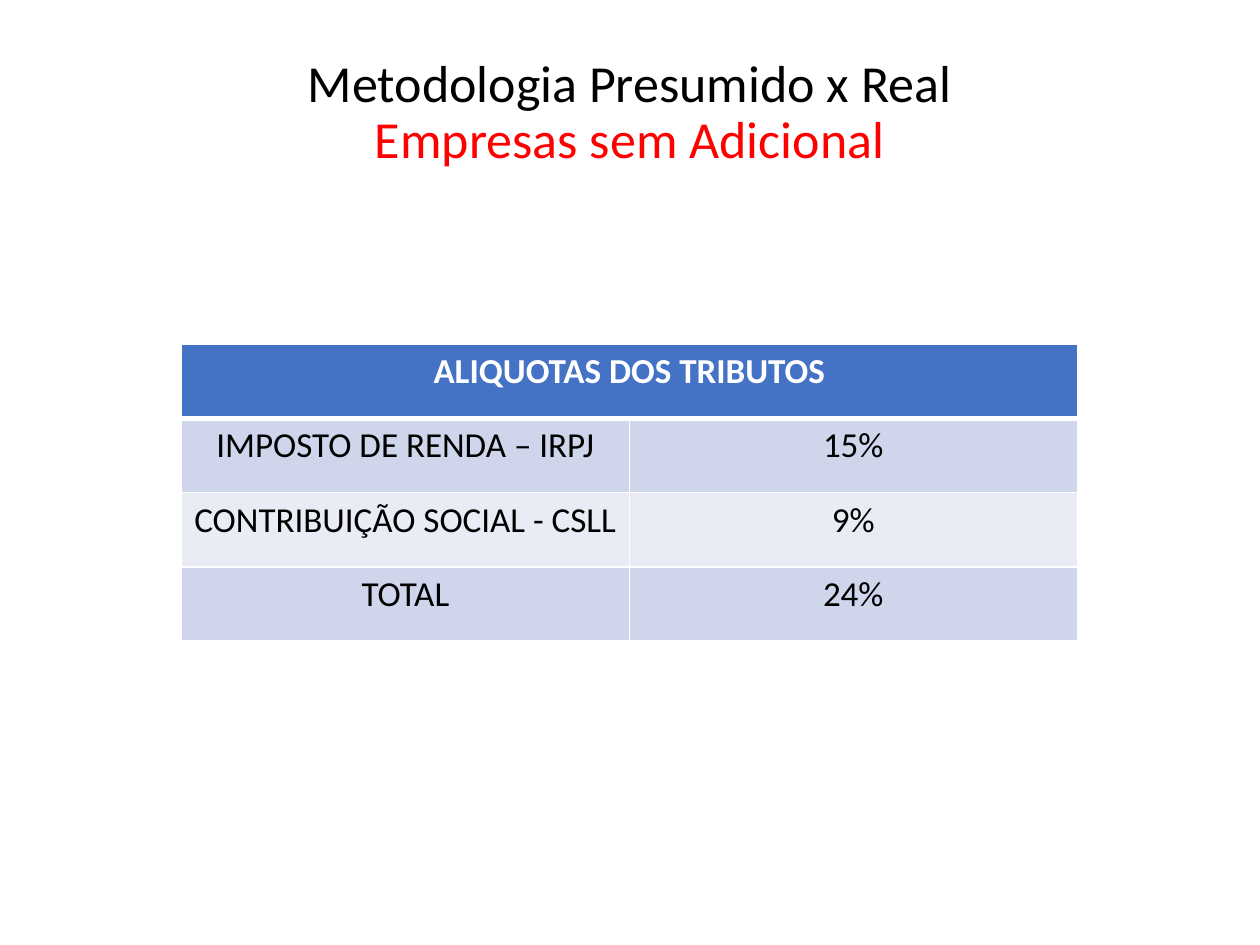
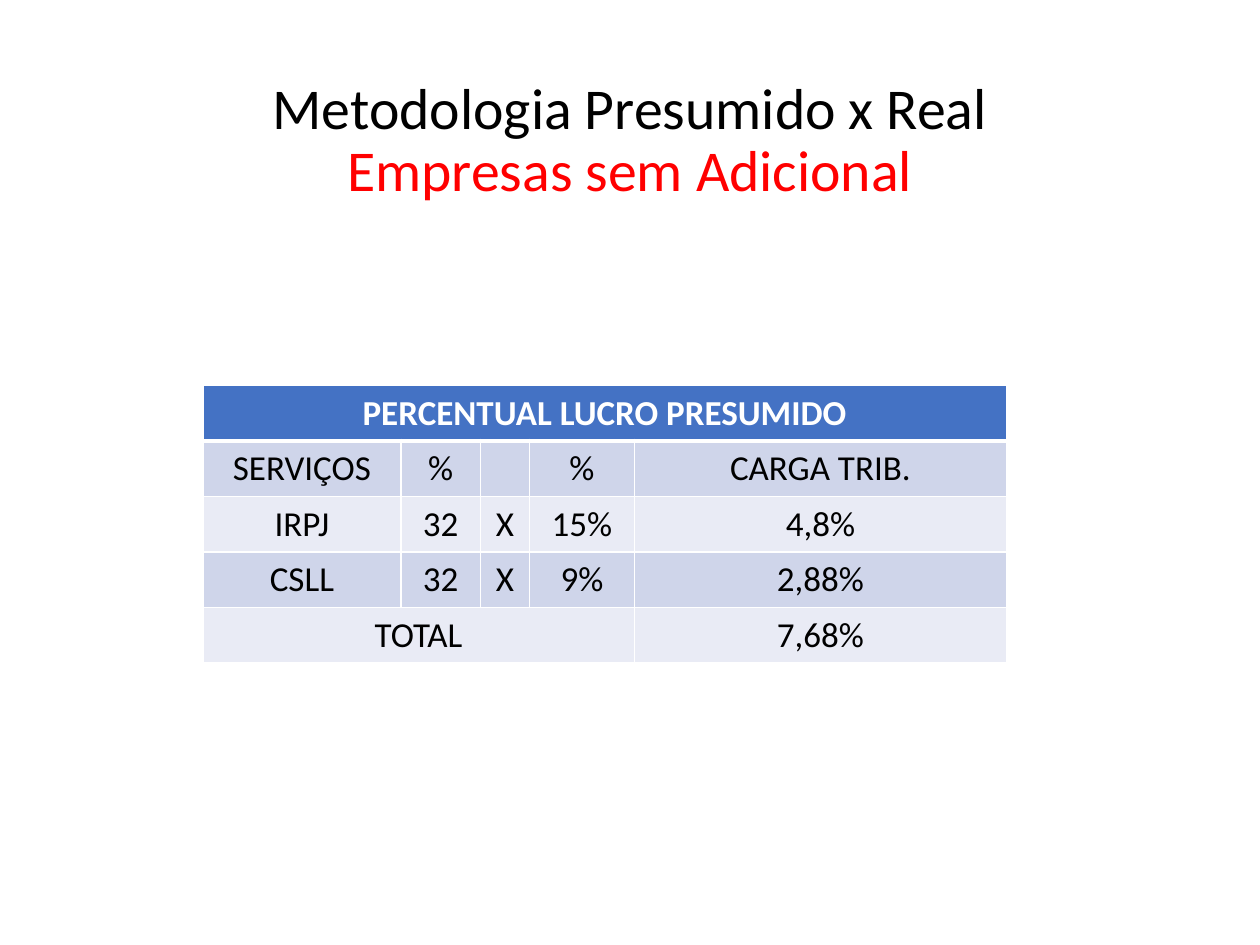
from copy import deepcopy
from dataclasses import dataclass

from lxml import etree
from pptx import Presentation
from pptx import util as u
from pptx.dml.color import RGBColor
from pptx.enum import text as t
from pptx.oxml import ns

SLIDE_WIDTH, SLIDE_HEIGHT = u.Inches(10), u.Inches(7.5)
TITLE_ONLY = 5
FONT = "Calibri"
WHITE, BLACK, RED = "FFFFFF", "000000", "FF0000"
HEADER_BLUE = "4472C4"
BANDS = ("CFD5EA", "E9EBF5")
TITLE_LINES = (("Metodologia Presumido x Real", BLACK), ("Empresas sem Adicional", RED))
THIN, THICK = 1, 3


@dataclass(frozen=True)
class Box:
    """A rectangle in shares of the slide's width and height."""
    left: float
    top: float
    width: float
    height: float

    def lengths(self) -> tuple[int, int, int, int]:
        return (int(self.left * SLIDE_WIDTH), int(self.top * SLIDE_HEIGHT),
                int(self.width * SLIDE_WIDTH), int(self.height * SLIDE_HEIGHT))


TITLE_BOX = Box(0.069, 0.4 / 7.5, 0.862, 1.45 / 7.5)


@dataclass(frozen=True)
class RateTable:
    """Rows hold one entry per cell; None continues the cell to its left."""
    box: Box
    column_weights: tuple[float, ...]
    rows: tuple[tuple[str | None, ...], ...]
    anchor: t.MSO_ANCHOR = t.MSO_ANCHOR.TOP


@dataclass(frozen=True)
class RateSlide:
    title_size: float
    title_bottom_inset: float
    table: RateTable


SLIDES = (
    RateSlide(29.7, 0.5, RateTable(
        Box(0.144, 2.73 / 7.5, 0.711, 2.36 / 7.5), (1, 1), (
            ("ALIQUOTAS DOS TRIBUTOS", None),
            ("IMPOSTO DE RENDA – IRPJ", "15%"),
            ("CONTRIBUIÇÃO SOCIAL - CSLL", "9%"),
            ("TOTAL", "24%"),
        ))),
    RateSlide(33, 0.05, RateTable(
        Box(0.161, 3.06 / 7.5, 0.638, 2.17 / 7.5), (1.57, 0.63, 0.39, 0.83, 2.95), (
            ("PERCENTUAL LUCRO PRESUMIDO", None, None, None, None),
            ("SERVIÇOS", "%", "", "%", "CARGA TRIB."),
            ("IRPJ", "32", "X", "15%", "4,8%"),
            ("CSLL", "32", "X", "9%", "2,88%"),
            ("TOTAL", None, None, None, "7,68%"),
        ))),
)


def rgb(color: str) -> RGBColor:
    return RGBColor.from_string(color)


def write(paragraph, text: str, *, size: float, color: str, bold: bool = False):
    """Append a centred run to the paragraph and return it."""
    paragraph.alignment = t.PP_ALIGN.CENTER
    run = paragraph.add_run()
    run.text = text
    run.font.name, run.font.size, run.font.bold = FONT, u.Pt(size), bold
    run.font.color.rgb = rgb(color)
    return run


def break_line_after(paragraph, run) -> None:
    """Add a line break that keeps the run's text size."""
    paragraph.add_line_break()
    line_break = paragraph._p.findall(ns.qn("a:br"))[-1]
    line_break.append(deepcopy(run._r.find(ns.qn("a:rPr"))))


def set_title(slide, size: float, bottom_inset: float) -> None:
    title = slide.shapes.title
    title.left, title.top, title.width, title.height = TITLE_BOX.lengths()
    frame = title.text_frame
    frame.auto_size = t.MSO_AUTO_SIZE.NONE
    frame.word_wrap = True
    frame.vertical_anchor = t.MSO_ANCHOR.MIDDLE
    frame.margin_bottom = u.Inches(bottom_inset)
    paragraph = frame.paragraphs[0]
    paragraph.line_spacing = 0.9
    (first, first_color), (second, second_color) = TITLE_LINES
    break_line_after(paragraph, write(paragraph, first, size=size, color=first_color))
    write(paragraph, second, size=size, color=second_color)


def set_borders(cell, *, top: float, bottom: float) -> None:
    properties = cell._tc.get_or_add_tcPr()
    for side, width in (("L", THIN), ("R", THIN), ("T", top), ("B", bottom)):
        line = etree.SubElement(properties, ns.qn(f"a:ln{side}"), w=str(u.Pt(width)))
        fill = etree.SubElement(line, ns.qn("a:solidFill"))
        etree.SubElement(fill, ns.qn("a:srgbClr"), val=WHITE)


def add_rate_table(slide, rates: RateTable) -> None:
    row_count, column_count = len(rates.rows), len(rates.column_weights)
    table = slide.shapes.add_table(row_count, column_count, *rates.box.lengths()).table
    table_width = rates.box.lengths()[2]
    for column, weight in zip(table.columns, rates.column_weights):
        column.width = int(table_width * weight / sum(rates.column_weights))

    for row, entries in enumerate(rates.rows):
        header = row == 0
        for column, entry in enumerate(entries):
            cell = table.cell(row, column)
            set_borders(cell, top=THICK if row == 1 else THIN,
                        bottom=THICK if header else THIN)
            cell.fill.solid()
            cell.fill.fore_color.rgb = rgb(HEADER_BLUE if header else BANDS[(row - 1) % 2])
            cell.vertical_anchor = rates.anchor
            if entry:
                write(cell.text_frame.paragraphs[0], entry, size=20,
                      color=WHITE if header else BLACK, bold=header)
        span = 1 + entries.count(None)
        if span > 1:
            table.cell(row, 0).merge(table.cell(row, span - 1))


def main() -> None:
    presentation = Presentation()
    presentation.slide_width, presentation.slide_height = SLIDE_WIDTH, SLIDE_HEIGHT
    for content in SLIDES:
        slide = presentation.slides.add_slide(presentation.slide_layouts[TITLE_ONLY])
        set_title(slide, content.title_size, content.title_bottom_inset)
        add_rate_table(slide, content.table)
    presentation.save("out.pptx")


if __name__ == "__main__":
    main()
